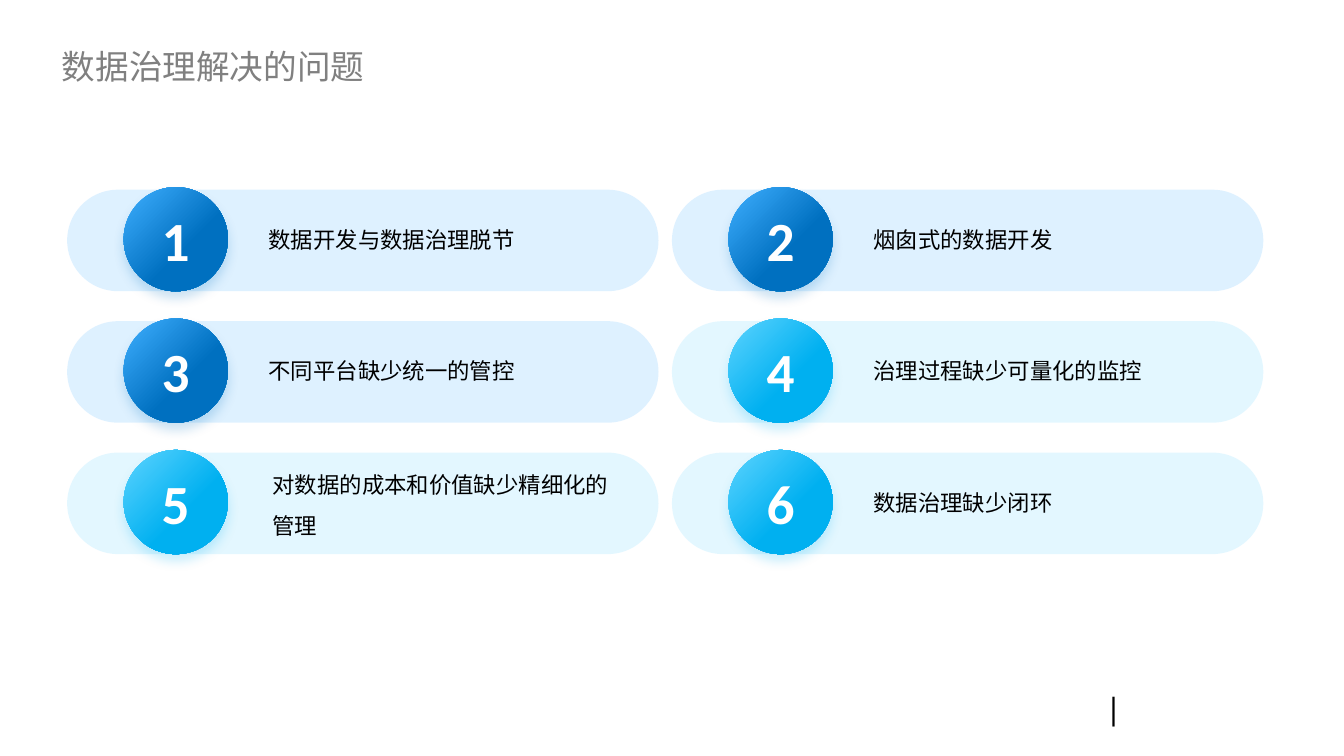
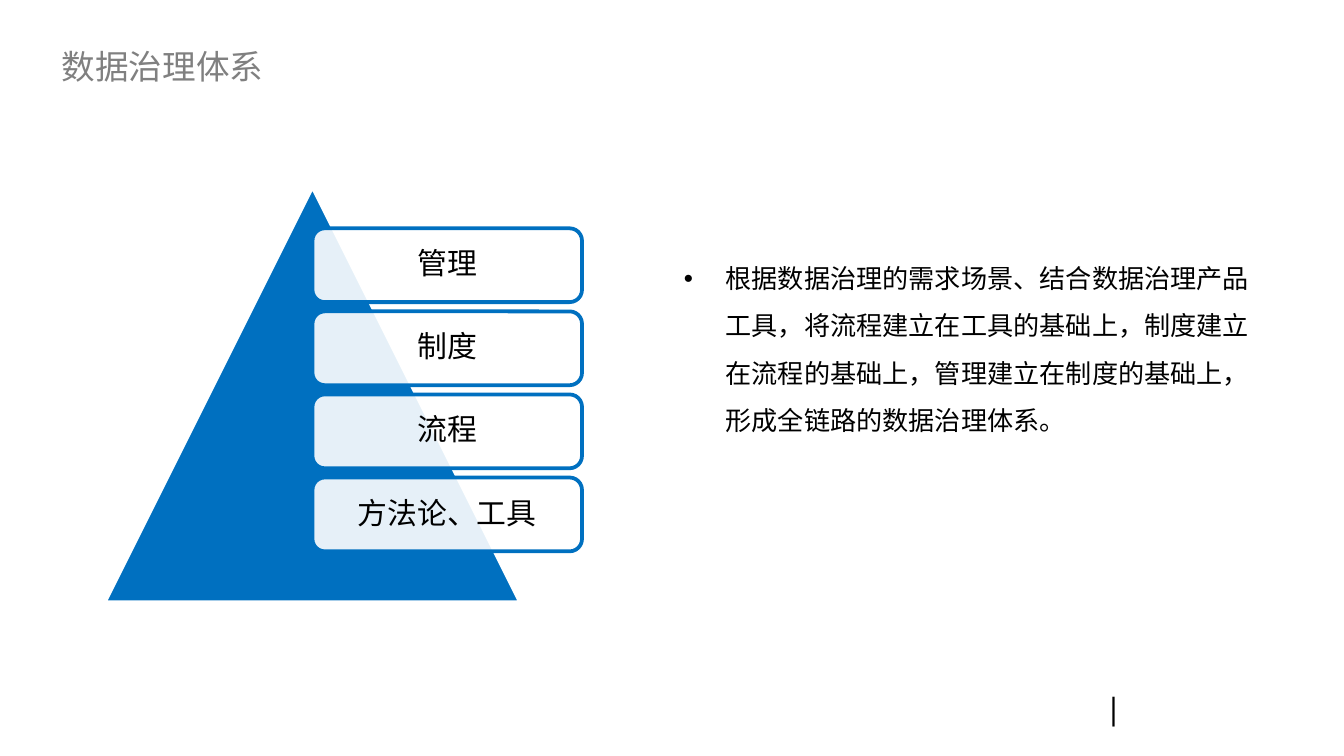
import collections

import lxml.etree
import pptx
import pptx.dml.color
import pptx.enum.shapes
import pptx.enum.text
import pptx.oxml.ns
import pptx.util

# The slide is a grid of 100 columns by 56.25 rows, each a tenth of an inch
COLUMNS, ROWS, UNIT = 100, 56.25, 0.1
Box = collections.namedtuple("Box", "left top width height")

SANS, LATIN = "Noto Sans CJK SC", "Calibri"
BLACK, WHITE, GREY, BLUE, CYAN = "000000", "FFFFFF", "808080", "0070C0", "00B0F0"
Theme = collections.namedtuple("Theme", "pill light dark")
BLUE_THEME = Theme("BFE4FF", "40AFFF", BLUE)
CYAN_THEME = Theme("C9F1FF", "5DD4FF", CYAN)

SHAPES = pptx.enum.shapes.MSO_SHAPE
CENTER = pptx.enum.text.PP_ALIGN.CENTER
MIDDLE = pptx.enum.text.MSO_ANCHOR.MIDDLE
GROW = pptx.enum.text.MSO_AUTO_SIZE.SHAPE_TO_FIT_TEXT

TITLE = dict(name=SANS, size=18, color=GREY)
FOOTER = dict(name=LATIN, size=18, color=BLACK)
NUMBER = dict(name=LATIN, size=29.6, color=WHITE, bold=True)
CARD_TEXT = dict(name=LATIN, size=12, color=BLACK)
LABEL = dict(name=SANS, size=16, color=BLACK)
BODY = dict(name=SANS, size=14, color=BLACK)

PROBLEMS = [
    ("数据开发与数据治理脱节", BLUE_THEME),
    ("烟囱式的数据开发", BLUE_THEME),
    ("不同平台缺少统一的管控", BLUE_THEME),
    ("治理过程缺少可量化的监控", CYAN_THEME),
    ("对数据的成本和价值缺少精细化的管理", CYAN_THEME),
    ("数据治理缺少闭环", CYAN_THEME),
]
LINE_CAPACITY = 15
LAYERS = ["管理", "制度", "流程", "方法论、工具"]
SUMMARY = ("根据数据治理的需求场景、结合数据治理产品工具，将流程建立在工具的基础上，"
           "制度建立在流程的基础上，管理建立在制度的基础上，形成全链路的数据治理体系。")


def rgb(color):
    return pptx.dml.color.RGBColor.from_string(color)


def place(box):
    return [pptx.util.Inches(value * UNIT) for value in box]


def add_xml(parent, tag, **attributes):
    element = lxml.etree.SubElement(parent, pptx.oxml.ns.qn(tag))
    for key, value in attributes.items():
        element.set(key, str(value))
    return element


def set_text(shape, text, style, frame_format=None, paragraph_format=None, bullet=None):
    frame = shape.text_frame
    for key, value in (frame_format or {}).items():
        setattr(frame, key, value)
    paragraph = frame.paragraphs[0]
    for key, value in (paragraph_format or {}).items():
        setattr(paragraph, key, value)
    if bullet:
        properties = paragraph._p.get_or_add_pPr()
        indent = pptx.util.Inches(0.31)
        properties.set("marL", str(indent))
        properties.set("indent", str(-indent))
        add_xml(properties, "a:buFont", typeface="Arial")
        add_xml(properties, "a:buChar", char=bullet)
    run = paragraph.add_run()
    run.text = text
    values = dict(style, size=pptx.util.Pt(style["size"]))
    run.font.color.rgb = rgb(values.pop("color"))
    for key, value in values.items():
        setattr(run.font, key, value)
    add_xml(run.font._element, "a:ea", typeface=SANS)


def add_text(shapes, box, text, style, paragraph_format=None, bullet=None, **frame_format):
    frame_format = {"word_wrap": True, "auto_size": GROW, **frame_format}
    set_text(shapes.add_textbox(*place(box)), text, style, frame_format,
             paragraph_format, bullet)


def add_shape(shapes, kind, box, fill=None, alpha=None, line=None):
    shape = shapes.add_shape(kind, *place(box))
    shape.shadow.inherit = False
    if fill:
        shape.fill.solid()
        shape.fill.fore_color.rgb = rgb(fill)
    if alpha:
        color = shape.element.spPr.find(".//" + pptx.oxml.ns.qn("a:srgbClr"))
        add_xml(color, "a:alpha", val=alpha * 1000)
    if line:
        shape.line.color.rgb = rgb(line)
        shape.line.width = pptx.util.Pt(2)
    else:
        shape.line.fill.background()
    return shape


def add_badge(shapes, box, number, theme):
    """Numbered disc with a gradient and a soft shadow."""
    badge = add_shape(shapes, SHAPES.OVAL, box)
    badge.fill.gradient()
    badge.fill.gradient_angle = 315
    stops = badge.fill.gradient_stops
    for stop, position, color in zip(stops, (0, 0.6), (theme.light, theme.dark)):
        stop.position = position
        stop.color.rgb = rgb(color)
    effects = badge.element.spPr.find(pptx.oxml.ns.qn("a:effectLst"))
    shadow = add_xml(effects, "a:outerShdw", blurRad=pptx.util.Pt(6),
                     dist=pptx.util.Pt(4), dir=90 * 60000, algn="t", rotWithShape=0)
    add_xml(add_xml(shadow, "a:srgbClr", val=theme.dark), "a:alpha", val=20000)
    set_text(badge, str(number), NUMBER, {"vertical_anchor": MIDDLE},
             {"alignment": CENTER})


def add_card(shapes, box, number, text, theme):
    pill = add_shape(shapes, SHAPES.ROUNDED_RECTANGLE,
                     Box(box.left, box.top + 0.2, box.width, box.height - 0.2),
                     theme.pill, alpha=50)
    pill.adjustments[0] = 0.5
    add_badge(shapes, Box(box.left + 4.2, box.top, box.height, box.height), number, theme)
    # A text of two lines starts higher and a little further right
    x, y, height = (14, 1.42, 3.7) if len(text) <= LINE_CAPACITY else (14.3, 0.1, 6.8)
    add_text(shapes, Box(box.left + x, box.top + y, 27.5, height), text, CARD_TEXT,
             {"line_spacing": 1.5})


def add_card_grid(slide, box, columns=2):
    shapes = slide.shapes.add_group_shape().shapes
    column_step, row_step = box.width / columns, 9.78
    for index, (text, theme) in enumerate(PROBLEMS):
        row, column = divmod(index, columns)
        card = Box(box.left + column * column_step, box.top + row * row_step,
                   column_step - 1, 7.75)
        add_card(shapes, card, index + 1, text, theme)


def add_pyramid(slide, box):
    shapes = slide.shapes.add_group_shape().shapes
    side = box.height
    add_shape(shapes, SHAPES.ISOSCELES_TRIANGLE, Box(box.left, box.top, side, side),
              BLUE, line=WHITE)
    margins = {f"margin_{edge}": pptx.util.Inches(0.07)
               for edge in ("left", "top", "right", "bottom")}
    for index, layer in enumerate(LAYERS):
        label = Box(box.left + side / 2, box.top + side * (0.1 + index / 5),
                    box.width - side / 2, side * 8 / 45)
        add_shape(shapes, SHAPES.ROUNDED_RECTANGLE, label, WHITE, alpha=90, line=BLUE)
        inner = Box(label.left + 0.27, label.top + 0.27,
                    label.width - 0.54, label.height - 0.54)
        add_text(shapes, inner, layer, LABEL,
                 {"alignment": CENTER, "line_spacing": 0.9,
                  "space_after": pptx.util.Pt(5.6)},
                 vertical_anchor=MIDDLE,
                 auto_size=pptx.enum.text.MSO_AUTO_SIZE.NONE, **margins)


def add_base_slide(presentation, title, title_width):
    """Blank slide with the shared title and footer mark."""
    slide = presentation.slides.add_slide(presentation.slide_layouts[6])
    side_margin = pptx.util.Inches(0.11)
    add_text(slide.shapes, Box(3.5, 2.9, title_width, 4.1), title, TITLE,
             word_wrap=False, margin_left=side_margin, margin_right=side_margin)
    add_text(slide.shapes, Box(81.3, 50.7, 2.6, 4), "|", FOOTER, word_wrap=False)
    return slide


def add_problems_slide(presentation):
    slide = add_base_slide(presentation, "数据治理解决的问题", 24.8)
    add_card_grid(slide, Box(5, 13.92, 90, 27.3))


def add_system_slide(presentation):
    slide = add_base_slide(presentation, "数据治理体系", 17.3)
    add_pyramid(slide, Box(7.8, 13.9, 35.5, 30.9))
    add_text(slide.shapes, Box(49.9, 17.9, 44.1, 14.7), SUMMARY, BODY,
             {"line_spacing": 1.5}, bullet="•")


def main():
    presentation = pptx.Presentation()
    presentation.slide_width = pptx.util.Inches(COLUMNS * UNIT)
    presentation.slide_height = pptx.util.Inches(ROWS * UNIT)
    add_problems_slide(presentation)
    add_system_slide(presentation)
    presentation.save("out.pptx")


if __name__ == "__main__":
    main()
